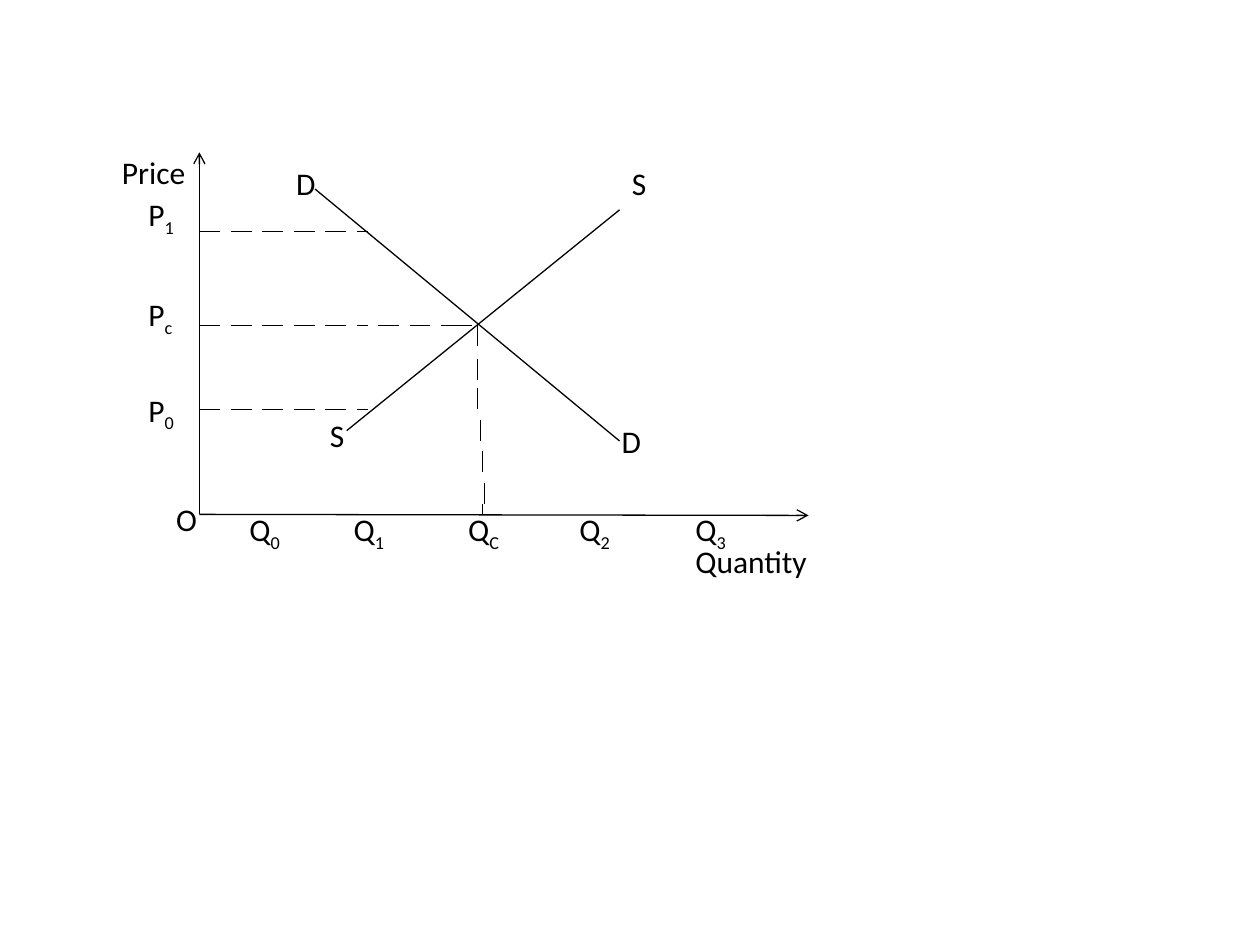
from pptx import Presentation
from pptx.dml.color import RGBColor
from pptx.enum.shapes import MSO_CONNECTOR
from pptx.enum.text import MSO_AUTO_SIZE
from pptx.oxml.ns import qn
from pptx.util import Cm, Pt
from lxml.etree import SubElement

BLACK = "000000"
DASH, PITCH, STUB = 0.42, 0.635, 0.21
AXIS_X, AXIS_Y = 4.02, 10.37


def color(hex_value):
    return RGBColor.from_string(hex_value)


def add_line(s, x1, y1, x2, y2, arrow=False):
    c = s.shapes.add_connector(MSO_CONNECTOR.STRAIGHT, Cm(x1), Cm(y1), Cm(x2), Cm(y2))
    c.line.color.rgb = color(BLACK)
    c.line.width = Pt(0.75)
    if arrow:
        SubElement(c.line._get_or_add_ln(), qn("a:tailEnd"), type="arrow")
    SubElement(c._element.spPr, qn("a:effectLst"))


def add_dash_row(s, x, y, count, stub_x):
    for i in range(count):
        left = x + i * PITCH
        add_line(s, left, y, left + DASH, y)
    add_line(s, stub_x, y, stub_x + STUB, y)


def add_quantity_dashes(s):
    for x, y in [(9.63, 6.56), (9.63, 7.24), (9.63, 7.83),
                 (9.68, 8.46), (9.72, 9.1), (9.76, 9.74)]:
        add_line(s, x, y, x, y + DASH)
    add_line(s, 9.72, AXIS_Y - STUB, 9.72, AXIS_Y)


def add_label(s, x, y, width, text, subscript=""):
    sp = s.shapes.add_textbox(Cm(x), Cm(y), Cm(width), Cm(1.03))
    tf = sp.text_frame
    tf.word_wrap = False
    tf.auto_size = MSO_AUTO_SIZE.SHAPE_TO_FIT_TEXT
    p = tf.paragraphs[0]
    p.font.name = "Calibri"
    p.font.size = Pt(18)
    p.font.color.rgb = color(BLACK)
    p.add_run().text = text
    if subscript:
        r = p.add_run()
        r.text = subscript
        r._r.get_or_add_rPr().set("baseline", "-25000")


def main():
    prs = Presentation()
    prs.slide_width, prs.slide_height = Cm(25.4), Cm(19.05)
    s = prs.slides.add_slide(prs.slide_layouts[6])

    add_line(s, 6.35, 3.81, 12.49, 8.89)
    add_line(s, 12.49, 4.23, 6.99, 8.68)

    for y in (4.66, 6.56, 8.26):
        add_dash_row(s, AXIS_X, y, 5, 7.2)
    add_dash_row(s, 7.62, 6.56, 3, 9.31)
    add_quantity_dashes(s)

    add_line(s, AXIS_X, AXIS_Y, AXIS_X, 3.07, arrow=True)
    add_line(s, AXIS_X, AXIS_Y, 16.3, 10.39, arrow=True)

    for y, width, sub in [(3.81, 1.07, "1"), (5.82, 1.02, "c"), (7.75, 1.07, "0")]:
        add_label(s, 2.74, y, width, "P", sub)
    for x, sub in [(4.78, "0"), (6.88, "1"), (9.19, "C"), (11.43, "2"), (13.77, "3")]:
        add_label(s, x, 10.16, 1.17, "Q", sub)
    for x, y, width, text in [
        (3.3, 9.96, 0.94, "O"),
        (5.72, 3.18, 0.91, "D"),
        (6.4, 8.26, 0.81, "S"),
        (12.49, 3.18, 0.81, "S"),
        (12.28, 8.38, 0.91, "D"),
        (13.77, 10.8, 2.79, "Quantity"),
        (2.21, 2.97, 1.8, "Price"),
    ]:
        add_label(s, x, y, width, text)

    prs.save("out.pptx")


if __name__ == "__main__":
    main()
